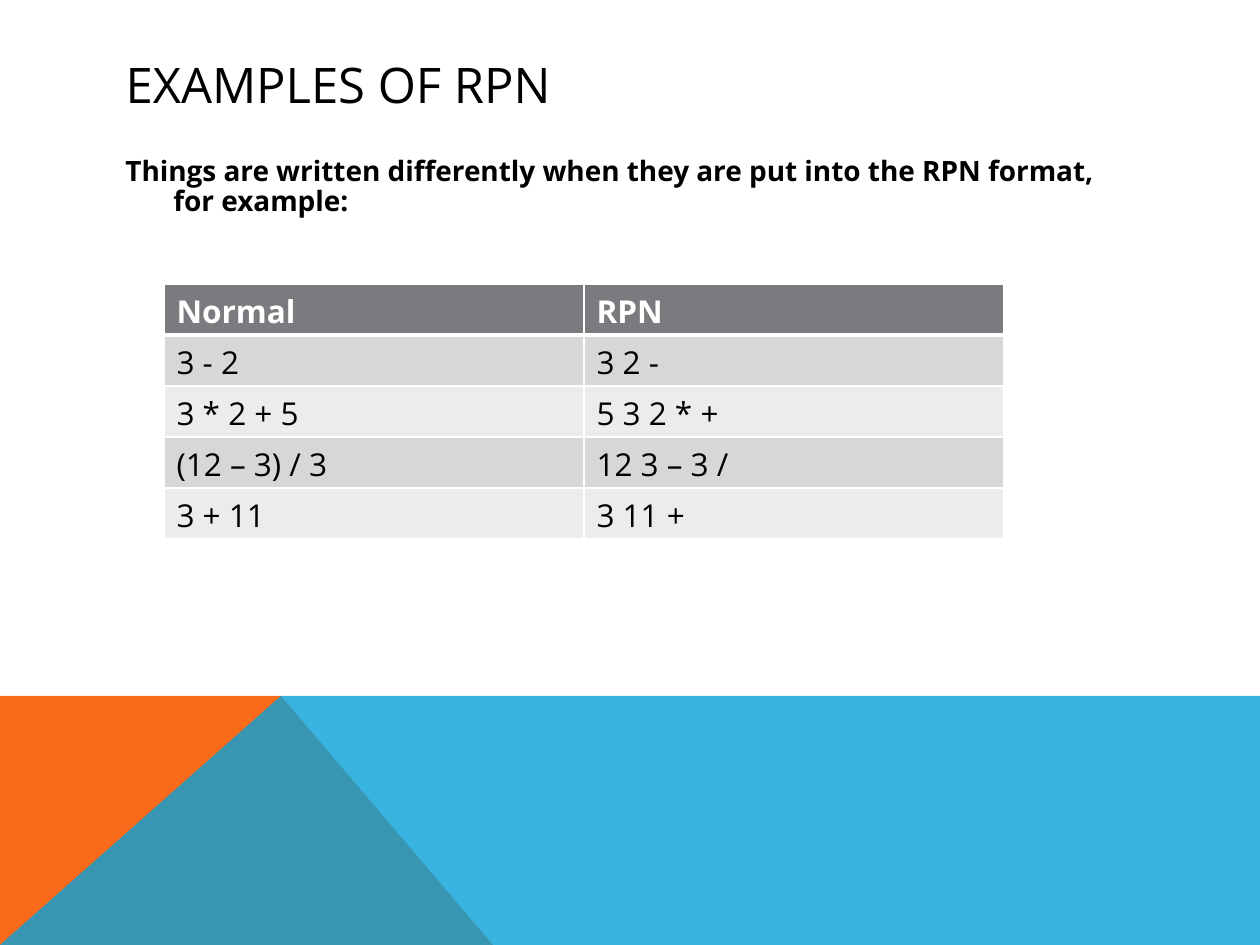
"""Build the slide that compares normal notation with RPN."""
import pptx
import pptx.dml.color
import pptx.enum.text
import pptx.oxml
import pptx.oxml.ns
import pptx.util

TITLE = "EXAMPLES OF RPN"
INTRO = "Things are written differently when they are put into the RPN format, for example:"
EXAMPLES = [
    ("Normal", "RPN"),
    ("3 - 2", "3 2 -"),
    ("3 * 2 + 5", "5 3 2 * +"),
    ("(12 – 3) / 3", "12 3 – 3 /"),
    ("3 + 11", "3 11 +"),
]
THEME = {
    "font": "Open Sans", "text": "000000", "light": "FFFFFF",
    "header": "797B7E", "bands": ("D7D7D8", "ECECEC"),
    "orange": "F96A1B", "blue": "08A1D9", "blue_alpha": 80,
    "title": 28, "intro": 16, "cell": 18, "rule": 1, "header_rule": 3,
}
SCALE = 914400 / 126
WIDTH, HEIGHT = 1260, 945
TITLE_BOX = (113, 50, 1036, 76)
INTRO_BOX = (113, 151, 1036, 493)
TABLE_LEFT, TABLE_TOP, COLUMN_WIDTH, ROW_HEIGHT = 164, 284, 420, 51
HANGING = 48
BAND_TOP, PEAK, FOOT = 696, 281, 493
FACETS = [
    ([(0, HEIGHT), (0, BAND_TOP), (PEAK, BAND_TOP), (FOOT, HEIGHT)], THEME["orange"], 100),
    ([(0, HEIGHT), (PEAK, BAND_TOP), (WIDTH, BAND_TOP), (WIDTH, HEIGHT)],
     THEME["blue"], THEME["blue_alpha"]),
]


def emu(pixels):
    return pptx.util.Emu(round(pixels * SCALE))


def rgb(code):
    return pptx.dml.color.RGBColor.from_string(code)


def assign(target, values):
    for name, value in values.items():
        setattr(target, name, value)


def place(part, box):
    assign(part, dict(zip(("left", "top", "width", "height"), map(emu, box))))


def write(frame, wording, size, color, bold=False, spacing=None):
    paragraph = frame.paragraphs[0]
    assign(paragraph, {"alignment": pptx.enum.text.PP_ALIGN.LEFT, "line_spacing": spacing})
    run = paragraph.add_run()
    run.text = wording
    assign(run.font, {"name": THEME["font"], "size": pptx.util.Pt(size), "bold": bold})
    run.font.color.rgb = rgb(color)
    return paragraph


def paint(part, color):
    part.fill.solid()
    part.fill.fore_color.rgb = rgb(color)


def draw_facet(slide, points, color, alpha):
    outline = slide.shapes.build_freeform(*points[0], scale=SCALE)
    outline.add_line_segments(points[1:], close=True)
    facet = outline.convert_to_shape()
    facet.shadow.inherit = False
    paint(facet, color)
    facet.line.fill.background()
    if alpha < 100:
        tint = facet.fill._xPr.find(".//" + pptx.oxml.ns.qn("a:srgbClr"))
        tint.append(pptx.oxml.parse_xml(
            f'<a:alpha {pptx.oxml.ns.nsdecls("a")} val="{alpha * 1000}"/>'))


def border(cell, widths):
    properties = cell._tc.get_or_add_tcPr()
    for index, (side, points) in enumerate(widths.items()):
        properties.insert(index, pptx.oxml.parse_xml(
            f'<a:ln{side} {pptx.oxml.ns.nsdecls("a")} w="{pptx.util.Pt(points)}">'
            f'<a:solidFill><a:srgbClr val="{THEME["light"]}"/></a:solidFill></a:ln{side}>'))


def add_examples(slide):
    rows, columns = len(EXAMPLES), len(EXAMPLES[0])
    box = (TABLE_LEFT, TABLE_TOP, columns * COLUMN_WIDTH, rows * ROW_HEIGHT)
    table = slide.shapes.add_table(rows, columns, *map(emu, box)).table
    for row, notations in enumerate(EXAMPLES):
        header = row == 0
        fill = THEME["header"] if header else THEME["bands"][(row - 1) % 2]
        widths = dict.fromkeys("LRTB", THEME["rule"])
        if header:
            widths["B"] = THEME["header_rule"]
        elif row == 1:
            widths["T"] = THEME["header_rule"]
        for column, notation in enumerate(notations):
            cell = table.cell(row, column)
            paint(cell, fill)
            border(cell, widths)
            write(cell.text_frame, notation, THEME["cell"],
                  THEME["light"] if header else THEME["text"], header)


def main():
    deck = pptx.Presentation()
    assign(deck, {"slide_width": emu(WIDTH), "slide_height": emu(HEIGHT)})
    slide = deck.slides.add_slide(deck.slide_layouts[5])
    for facet in FACETS:
        draw_facet(slide, *facet)

    title = slide.shapes.title
    place(title, TITLE_BOX)
    assign(title.text_frame, {
        "vertical_anchor": pptx.enum.text.MSO_ANCHOR.MIDDLE,
        "auto_size": pptx.enum.text.MSO_AUTO_SIZE.NONE, "word_wrap": True})
    write(title.text_frame, TITLE, THEME["title"], THEME["text"], spacing=0.9)

    intro = slide.shapes.add_textbox(*map(emu, INTRO_BOX))
    intro.text_frame.word_wrap = True
    paragraph = write(intro.text_frame, INTRO, THEME["intro"], THEME["text"], True, 0.9)
    indents = paragraph._p.get_or_add_pPr()
    indents.set("marL", str(emu(HANGING)))
    indents.set("indent", str(-emu(HANGING)))

    add_examples(slide)
    deck.save("out.pptx")


main()
